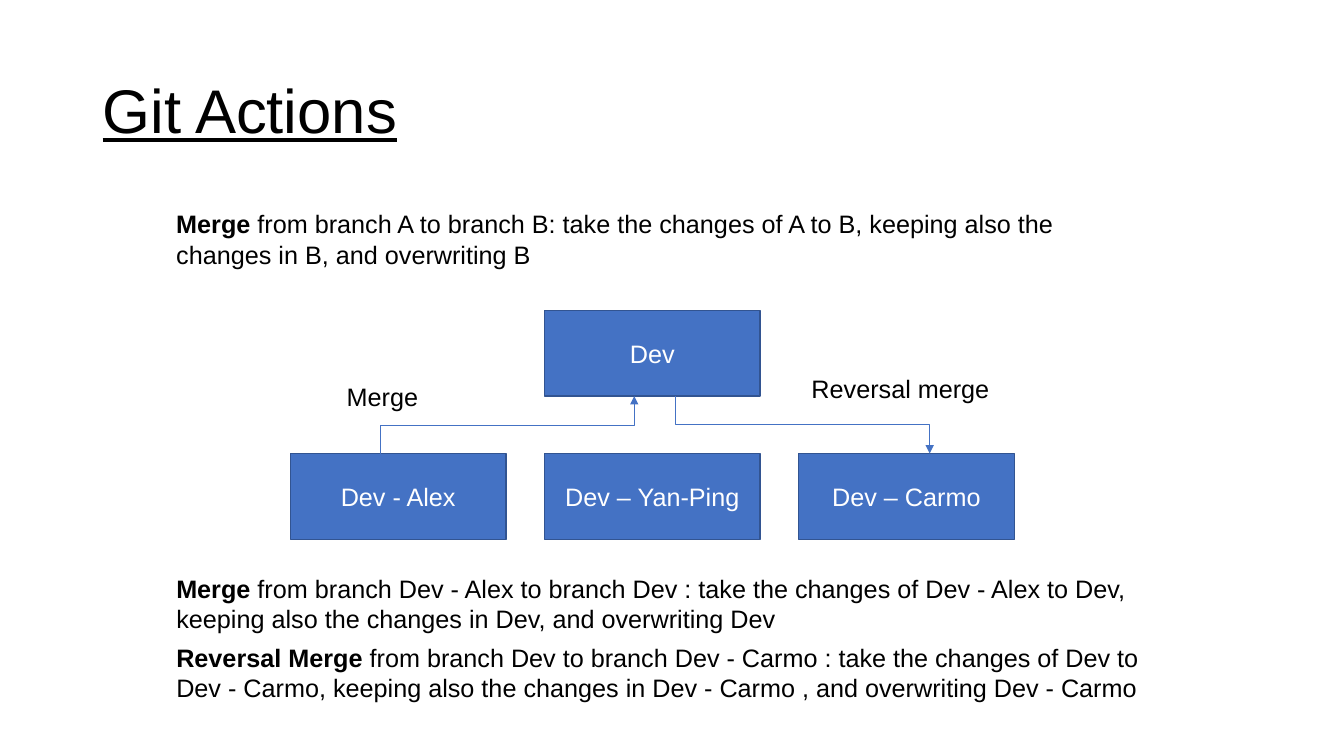
from dataclasses import dataclass

from lxml import etree
from pptx import Presentation
from pptx.dml.color import RGBColor
from pptx.enum.shapes import MSO_CONNECTOR, MSO_SHAPE
from pptx.enum.text import MSO_ANCHOR, PP_ALIGN
from pptx.oxml.ns import qn
from pptx.util import Inches, Pt

RECTANGLE = MSO_SHAPE.RECTANGLE
ELBOW = MSO_CONNECTOR.ELBOW
CENTER, LEFT = PP_ALIGN.CENTER, PP_ALIGN.LEFT
TOP, MIDDLE = MSO_ANCHOR.TOP, MSO_ANCHOR.MIDDLE

COLORS = {"ink": "000000", "paper": "FFFFFF", "branch": "4472C4", "edge": "325491"}
FONT = "Arial"

# Branch grid, in inches
GRID_LEFT, GRID_TOP = 2.88, 3.08
COLUMN_STEP, ROW_STEP = 2.52, 1.42
BRANCH_WIDTH, BRANCH_HEIGHT = 2.14, 0.85
TEXT_LEFT = 1.65


@dataclass(frozen=True)
class Branch:
    label: str
    column: int
    row: int

    @property
    def left(self) -> float:
        return GRID_LEFT + self.column * COLUMN_STEP

    @property
    def top(self) -> float:
        return GRID_TOP + self.row * ROW_STEP


@dataclass(frozen=True)
class Flow:
    source: Branch
    target: Branch
    offset: float  # from the left edge of both branches


@dataclass(frozen=True)
class Statement:
    lead: str
    rest: str
    left: float
    top: float
    width: float
    height: float = 0.71
    wrap: bool = True


DEV = Branch("Dev", 1, 0)
ALEX = Branch("Dev - Alex", 0, 1)
YAN_PING = Branch("Dev – Yan-Ping", 1, 1)
CARMO = Branch("Dev – Carmo", 2, 1)
BRANCHES = (DEV, ALEX, YAN_PING, CARMO)
FLOWS = (Flow(ALEX, DEV, 0.89), Flow(DEV, CARMO, 1.3))

STATEMENTS = (
    Statement("Merge", " from branch A to branch B: take the changes of A to B, "
              "keeping also the changes in B, and overwriting B", TEXT_LEFT, 2.02, 9.76),
    Statement("", "Merge", 3.34, 3.73, 0.92, 0.4, wrap=False),
    Statement("", "Reversal merge", 7.95, 3.65, 1.98, 0.4, wrap=False),
    Statement("Merge", " from branch Dev - Alex to branch Dev : take the changes of "
              "Dev - Alex to Dev, keeping also the changes in Dev, and overwriting Dev",
              TEXT_LEFT, 5.64, 10.02),
    Statement("Reversal Merge", " from branch Dev to branch Dev - Carmo : take the changes "
              "of Dev to Dev - Carmo, keeping also the changes in Dev - Carmo , "
              "and overwriting Dev - Carmo", TEXT_LEFT, 6.32, 10.02),
)


def color(name: str) -> RGBColor:
    return RGBColor.from_string(COLORS[name])


def write(shape, text: str, *, lead: str = "", size: float = 18, ink: str = "ink",
          underline: bool = False, align=LEFT, anchor=TOP, wrap: bool = True,
          spacing: float = 1.0) -> None:
    """Fill a shape with one paragraph, opened by an optional bold lead."""
    frame = shape.text_frame
    frame.word_wrap = wrap
    frame.vertical_anchor = anchor
    paragraph = frame.paragraphs[0]
    paragraph.alignment = align
    paragraph.line_spacing = spacing
    for words, bold in ((lead, True), (text, False)):
        if words:
            run = paragraph.add_run()
            run.text = words
            run.font.name = FONT
            run.font.size = Pt(size)
            run.font.bold = bold
            run.font.underline = underline
            run.font.color.rgb = color(ink)


def draw_branch(slide, branch: Branch) -> None:
    box = slide.shapes.add_shape(RECTANGLE, Inches(branch.left), Inches(branch.top),
                                 Inches(BRANCH_WIDTH), Inches(BRANCH_HEIGHT))
    box.shadow.inherit = False
    box.fill.solid()
    box.fill.fore_color.rgb = color("branch")
    box.line.color.rgb = color("edge")
    box.line.width = Pt(1)
    write(box, branch.label, ink="paper", align=CENTER, anchor=MIDDLE)


def draw_flow(slide, flow: Flow) -> None:
    """Elbow that leaves and arrives vertically: a horizontal one turned by 270 degrees."""
    gap = ROW_STEP - BRANCH_HEIGHT
    drop = gap if flow.target.row > flow.source.row else -gap
    run = flow.target.left - flow.source.left
    center_x = (flow.source.left + flow.target.left) / 2 + flow.offset
    center_y = GRID_TOP + BRANCH_HEIGHT + gap / 2
    arrow = slide.shapes.add_connector(
        ELBOW, Inches(center_x + drop / 2), Inches(center_y - run / 2),
        Inches(center_x - drop / 2), Inches(center_y + run / 2))
    arrow.line.color.rgb = color("branch")
    arrow.line.width = Pt(0.5)
    properties = arrow._element.spPr
    properties.find(qn("a:xfrm")).set("rot", str(270 * 60000))
    etree.SubElement(properties.find(qn("a:ln")), qn("a:tailEnd"), type="triangle")
    etree.SubElement(properties, qn("a:effectLst"))


def draw_statement(slide, statement: Statement) -> None:
    box = slide.shapes.add_textbox(Inches(statement.left), Inches(statement.top),
                                   Inches(statement.width), Inches(statement.height))
    write(box, statement.rest, lead=statement.lead, wrap=statement.wrap)


def main() -> None:
    deck = Presentation()
    deck.slide_width, deck.slide_height = Inches(13.33), Inches(7.5)
    slide = deck.slides.add_slide(deck.slide_layouts[6])

    # Title
    title = slide.shapes.add_textbox(Inches(0.92), Inches(0.4), Inches(11.5), Inches(1.45))
    write(title, "Git Actions", size=44, underline=True, anchor=MIDDLE, spacing=0.9)

    # Branch diagram
    for branch in BRANCHES:
        draw_branch(slide, branch)
    for flow in FLOWS:
        draw_flow(slide, flow)

    # Explanations and flow labels
    for statement in STATEMENTS:
        draw_statement(slide, statement)

    deck.save("out.pptx")


if __name__ == "__main__":
    main()
